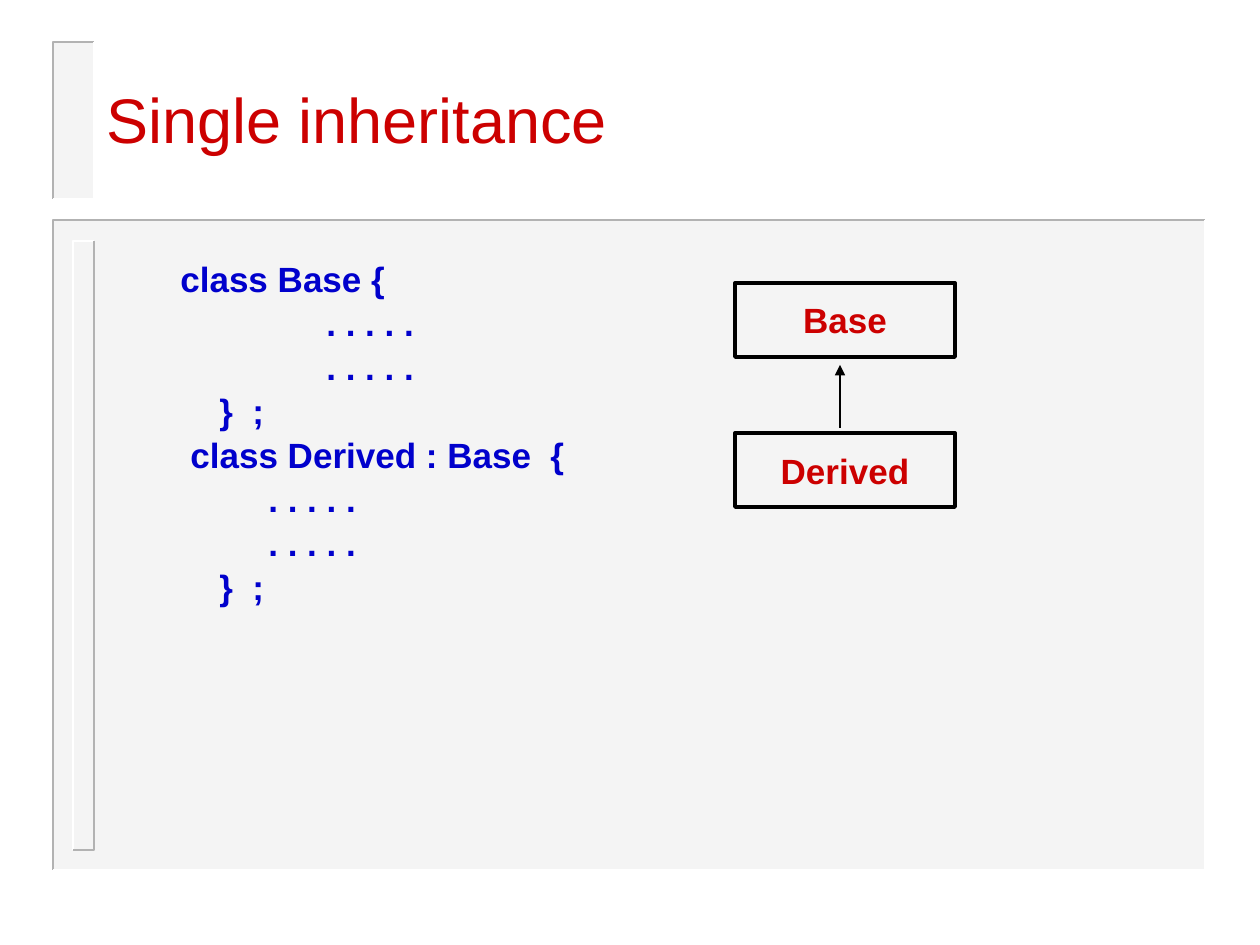
from lxml import etree
from pptx import Presentation
from pptx import util as u
from pptx.dml.color import RGBColor
from pptx.enum import shapes, text
from pptx.oxml.ns import qn

# Content
TITLE = "Single inheritance"
CODE = [  # indent in px, line of code
    (0, "class Base {"),
    (146, ". . . . ."),
    (146, ". . . . ."),
    (39, "}  ;"),
    (10, "class Derived : Base  {"),
    (88, ". . . . ."),
    (88, ". . . . ."),
    (39, "}  ;"),
]
CLASSES = ["Base", "Derived"]

COLORS = {"panel": "EAEAEA", "shade": "B2B2B2", "light": "FFFFFF",
          "red": "CC0000", "blue": "0000CC", "black": "000000"}
FONT = "Arial"

# Layout in px: left, top, width, height
PANEL = (53, 220, 1152, 650)
TAB = (53, 42, 41, 157)
BAR = (73, 241, 21, 609)
TITLE_BOX = (94, 39, 1166, 158)
CODE_BOX = (168, 249, 418, 390)
CLASS_BOX = (735, 283, 220, 74)
CLASS_STEP = 150
ARROW_X, ARROW_TOP, ARROW_BOTTOM = 840, 365, 428


def px(n):
    return u.Emu(round(n * 914400 / 126))


def rgb(name):
    return RGBColor.from_string(COLORS[name])


def style(paragraph, size, color, bold=False):
    font = paragraph.font
    font.name, font.size, font.bold = FONT, u.Pt(size), bold
    font.color.rgb = rgb(color)


def add_rect(box):
    rect = slide.shapes.add_shape(shapes.MSO_SHAPE.RECTANGLE, *map(px, box))
    rect.shadow.inherit = False
    return rect


def add_edge(points, color):
    start, *rest = [(px(x), px(y)) for x, y in points]
    builder = slide.shapes.build_freeform(*start)
    builder.add_line_segments(rest, close=False)
    edge = builder.convert_to_shape()
    edge.shadow.inherit = False
    edge.fill.background()
    edge.line.color.rgb = rgb(color)
    edge.line.width = u.Pt(1)


def add_bevel(box, top_left, bottom_right):
    left, top, width, height = box
    right, bottom = left + width, top + height
    ends = [(right, top), (left, bottom)]
    for corner, color in (((left, top), top_left), ((right, bottom), bottom_right)):
        add_edge([ends[0], corner, ends[1]], color)


def add_panel(box):
    panel = add_rect(box)
    panel.fill.solid()
    panel.fill.fore_color.rgb = rgb("panel")
    panel.line.fill.background()
    color = panel.fill._xPr.find(".//" + qn("a:srgbClr"))
    etree.SubElement(color, qn("a:alpha"), val="50000")
    add_bevel(box, "shade", "light")


prs = Presentation()
prs.slide_width, prs.slide_height = px(1260), px(945)
slide = prs.slides.add_slide(prs.slide_layouts[6])

# Background panels
add_panel(PANEL)
add_bevel(BAR, "light", "shade")
add_panel(TAB)

# Title
title = slide.shapes.add_textbox(*map(px, TITLE_BOX)).text_frame
title.word_wrap = True
title.vertical_anchor = text.MSO_ANCHOR.MIDDLE
title.text = TITLE
style(title.paragraphs[0], 36, "red")

# Class boxes
left, top, width, height = CLASS_BOX
for i, name in enumerate(CLASSES):
    box = add_rect((left, top + i * CLASS_STEP, width, height))
    box.fill.background()
    box.line.color.rgb = rgb("black")
    box.line.width = u.Pt(2.25)
    label = box.text_frame
    label.word_wrap = False
    label.vertical_anchor = text.MSO_ANCHOR.MIDDLE
    label.text = name
    label.paragraphs[0].alignment = text.PP_ALIGN.CENTER
    style(label.paragraphs[0], 20, "red", bold=True)

# Arrow from the derived class up to its base
arrow = slide.shapes.add_connector(
    shapes.MSO_CONNECTOR.STRAIGHT,
    px(ARROW_X), px(ARROW_BOTTOM), px(ARROW_X), px(ARROW_TOP))
arrow.line.color.rgb = rgb("black")
arrow.line.width = u.Pt(1)
etree.SubElement(arrow.line._get_or_add_ln(), qn("a:tailEnd"), type="triangle")
etree.SubElement(arrow._element.spPr, qn("a:effectLst"))

# Code
code = slide.shapes.add_textbox(*map(px, CODE_BOX)).text_frame
code.word_wrap = False
code.text = "\n".join(line for _, line in CODE)
for paragraph, (indent, _) in zip(code.paragraphs, CODE):
    style(paragraph, 20, "blue", bold=True)
    paragraph.line_spacing = 1.05
    properties = paragraph._p.get_or_add_pPr()
    properties.set("marL", str(px(indent)))
    properties.set("indent", "0")

prs.save("out.pptx")
